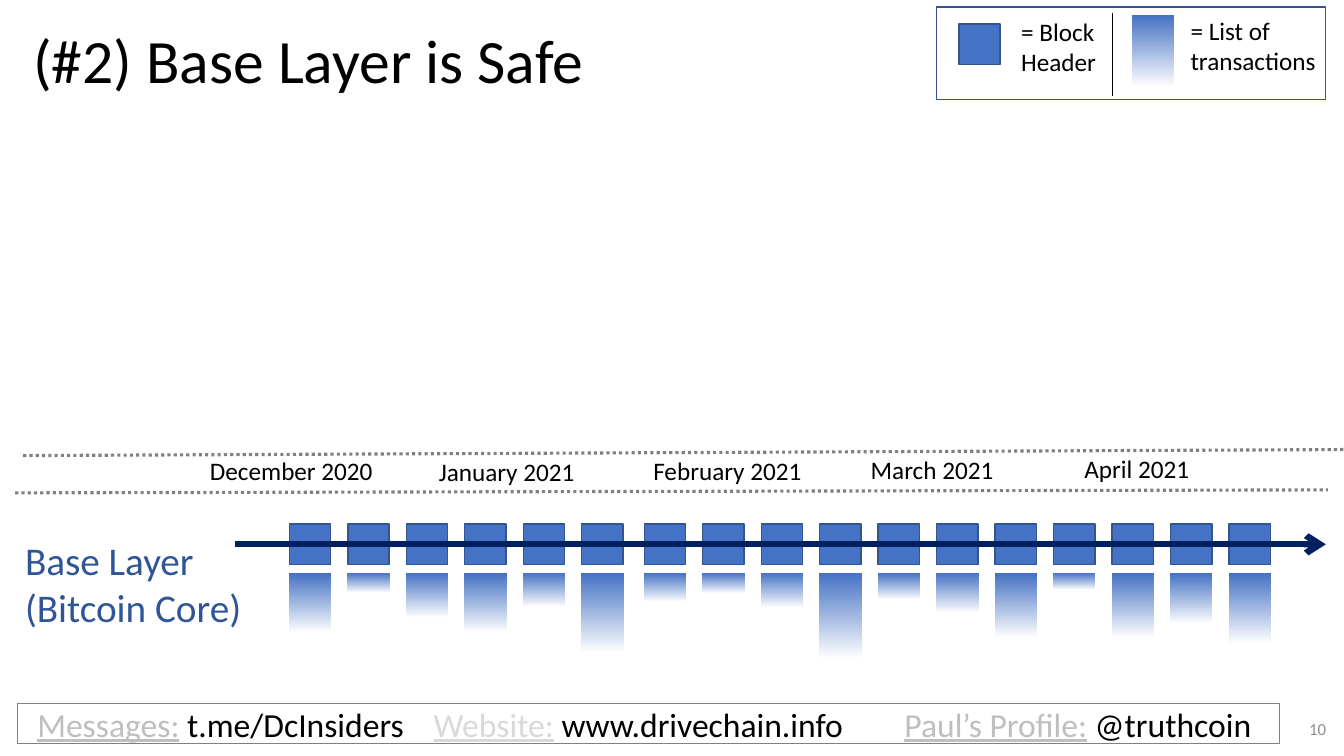
import lxml.etree
import pptx
import pptx.dml.color
import pptx.enum.dml
import pptx.enum.shapes
import pptx.enum.text
import pptx.oxml.ns
import pptx.util

Inches = pptx.util.Inches
Pt = pptx.util.Pt
RGBColor = pptx.dml.color.RGBColor
qn = pptx.oxml.ns.qn
ALIGN = pptx.enum.text.PP_ALIGN
ANCHOR = pptx.enum.text.MSO_ANCHOR

FONT = "Calibri"
BLACK = RGBColor(0x00, 0x00, 0x00)
WHITE = RGBColor(0xFF, 0xFF, 0xFF)
BLOCK_BLUE = RGBColor(0x44, 0x72, 0xC4)
EDGE_BLUE = RGBColor(0x32, 0x54, 0x91)
LABEL_BLUE = RGBColor(0x2F, 0x55, 0x97)
NAVY = RGBColor(0x00, 0x20, 0x60)
GRAY = RGBColor(0x80, 0x80, 0x80)
NUMBER_GRAY = RGBColor(0x8C, 0x8C, 0x8C)
SILVER = RGBColor(0xBF, 0xBF, 0xBF)
PALE_SILVER = RGBColor(0xD9, 0xD9, 0xD9)

BLOCK_WIDTH, BLOCK_HEIGHT = 0.41, 0.4
BLOCK_PITCH = 0.58
# Left edge of each run of blocks, with the depth of each transaction list
BLOCK_GROUPS = [
    (2.87, [0.58, 0.18, 0.43, 0.58, 0.32, 0.77]),
    (6.39, [0.27, 0.19, 0.33, 0.83, 0.25, 0.38, 0.63, 0.15, 0.62, 0.49, 0.68]),
]
MONTHS = [
    ("December 2020", 1.91, 4.47, 1.96),
    ("January 2021", 4.17, 4.48, 1.71),
    ("February 2021", 6.1, 4.47, 2.23),
    ("March 2021", 8.13, 4.46, 2.23),
    ("April 2021", 10.16, 4.45, 2.23),
]
CONTACTS = [
    ("Messages:", SILVER, "t.me/DcInsiders"),
    ("Website:", PALE_SILVER, "www.drivechain.info"),
    ("Paul’s Profile:", SILVER, "@truthcoin"),
]
CONTACT_TABS = [3.93, 8.6]


def style_run(run, size, color, underline=False):
    run.font.name = FONT
    run.font.size = Pt(size)
    run.font.color.rgb = color
    run.font.underline = underline


def add_label(slide, text, left, top, width, height, size=18, color=BLACK,
              align=ALIGN.LEFT, anchor=ANCHOR.TOP):
    label = slide.shapes.add_textbox(
        Inches(left), Inches(top), Inches(width), Inches(height))
    frame = label.text_frame
    frame.word_wrap = True
    frame.vertical_anchor = anchor
    paragraph = frame.paragraphs[0]
    paragraph.text = text
    paragraph.alignment = align
    for run in paragraph.runs:
        style_run(run, size, color)


def add_box(slide, left, top, width, height, fill=None, edge=None, weight=1):
    box = slide.shapes.add_shape(
        pptx.enum.shapes.MSO_SHAPE.RECTANGLE,
        Inches(left), Inches(top), Inches(width), Inches(height))
    box.shadow.inherit = False
    if fill is None:
        box.fill.background()
    else:
        box.fill.solid()
        box.fill.fore_color.rgb = fill
    if edge is None:
        box.line.fill.background()
    else:
        box.line.color.rgb = edge
        box.line.width = Pt(weight)
    return box


def add_header(slide, left, top):
    add_box(slide, left, top, BLOCK_WIDTH, BLOCK_HEIGHT, BLOCK_BLUE, EDGE_BLUE)


def add_transactions(slide, left, top, depth):
    transactions = add_box(slide, left, top, BLOCK_WIDTH, depth)
    transactions.fill.gradient()
    transactions.fill.gradient_angle = 90
    for stop in transactions.fill.gradient_stops:
        stop.color.rgb = BLOCK_BLUE
    # The first stop, at the bottom, is fully transparent
    bottom_color = transactions._element.spPr.find(".//" + qn("a:srgbClr"))
    lxml.etree.SubElement(bottom_color, qn("a:alpha"), val="0")


def add_line(slide, start, end, color, weight, dotted=False, arrow=False):
    line = slide.shapes.add_connector(
        pptx.enum.shapes.MSO_CONNECTOR.STRAIGHT,
        Inches(start[0]), Inches(start[1]), Inches(end[0]), Inches(end[1]))
    line.line.color.rgb = color
    line.line.width = Pt(weight)
    if dotted:
        line.line.dash_style = pptx.enum.dml.MSO_LINE.ROUND_DOT
    properties = line._element.spPr
    if arrow:
        lxml.etree.SubElement(
            properties.find(qn("a:ln")), qn("a:tailEnd"), type="arrow")
    lxml.etree.SubElement(properties, qn("a:effectLst"))


def add_title(slide, text):
    title = slide.shapes.title
    title.left, title.top = Inches(0.23), Inches(0.21)
    title.width, title.height = Inches(8.29), Inches(0.84)
    frame = title.text_frame
    frame.text = text
    frame.auto_size = pptx.enum.text.MSO_AUTO_SIZE.NONE
    frame.vertical_anchor = ANCHOR.MIDDLE
    paragraph = frame.paragraphs[0]
    paragraph.alignment = ALIGN.LEFT
    paragraph.line_spacing = 0.9
    style_run(paragraph.runs[0], 44, BLACK)


def add_chain(slide):
    for group_left, depths in BLOCK_GROUPS:
        for index, depth in enumerate(depths):
            left = group_left + index * BLOCK_PITCH
            add_header(slide, left, 5.2)
            add_transactions(slide, left, 5.69, depth)
    add_line(slide, (2.33, 5.4), (13.15, 5.4), NAVY, 4.5, arrow=True)
    add_label(slide, "Base Layer\n(Bitcoin Core)", 0.15, 5.27, 2.63, 1.04,
              size=28, color=LABEL_BLUE)


def add_legend(slide):
    add_header(slide, 9.51, 0.24)
    add_transactions(slide, 11.23, 0.15, 0.7)
    add_label(slide, "= Block Header", 10.03, 0.11, 1.33, 0.71)
    add_label(slide, "= List of transactions", 11.71, 0.1, 1.54, 0.71)
    add_box(slide, 9.29, 0.07, 3.86, 0.92, edge=EDGE_BLUE)
    add_line(slide, (11.03, 0.13), (11.03, 0.95), BLACK, 0.5)


def add_months(slide):
    for month, left, top, width in MONTHS:
        add_label(slide, month, left, top, width, 0.4, align=ALIGN.CENTER)
    add_line(slide, (0.15, 4.89), (13.17, 4.86), GRAY, 2.25, dotted=True)
    add_line(slide, (0.23, 4.52), (13.33, 4.46), GRAY, 2.25, dotted=True)


def add_contacts(slide):
    footer = add_box(slide, 0.17, 6.98, 12.52, 0.4, WHITE, GRAY, 0.75)
    frame = footer.text_frame
    frame.margin_left = Inches(0.2)
    frame.vertical_anchor = ANCHOR.MIDDLE
    paragraph = frame.paragraphs[0]
    paragraph.alignment = ALIGN.LEFT
    tabs = lxml.etree.SubElement(
        paragraph._p.get_or_add_pPr(), qn("a:tabLst"))
    for position in CONTACT_TABS:
        lxml.etree.SubElement(
            tabs, qn("a:tab"), pos=str(Inches(position)), algn="l")
    for index, (channel, color, address) in enumerate(CONTACTS):
        ending = "\t" if index < len(CONTACT_TABS) else ""
        channel_run = paragraph.add_run()
        channel_run.text = channel
        style_run(channel_run, 24, color, underline=True)
        address_run = paragraph.add_run()
        address_run.text = " " + address + ending
        style_run(address_run, 24, BLACK)


def main():
    deck = pptx.Presentation()
    deck.slide_width, deck.slide_height = Inches(13.33), Inches(7.5)
    slide = deck.slides.add_slide(deck.slide_layouts[5])

    add_title(slide, "(#2) Base Layer is Safe")
    add_label(slide, "10", 12.77, 7.03, 0.48, 0.4, size=12, color=NUMBER_GRAY,
              align=ALIGN.RIGHT, anchor=ANCHOR.MIDDLE)
    add_chain(slide)
    add_legend(slide)
    add_months(slide)
    add_contacts(slide)

    deck.save("out.pptx")


if __name__ == "__main__":
    main()
